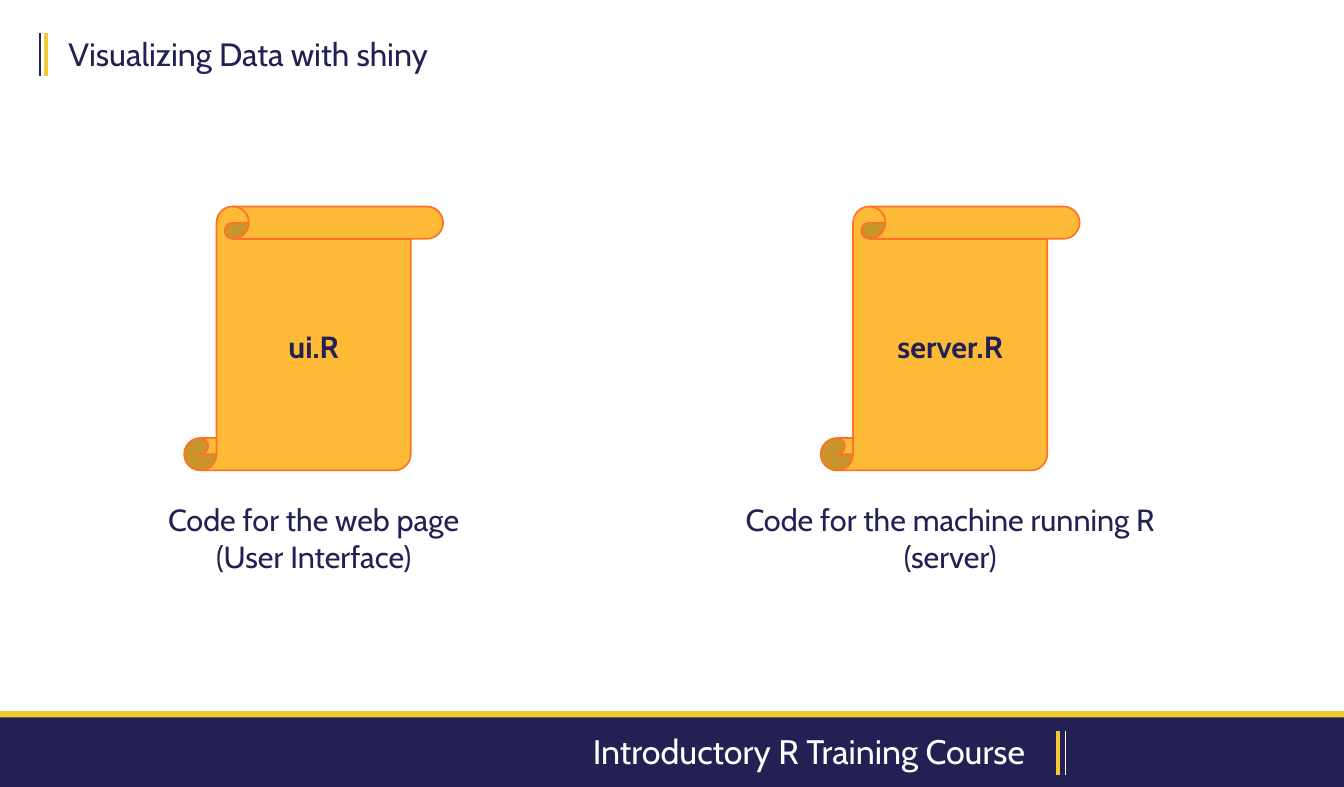
from dataclasses import dataclass
from typing import Any

from lxml import etree
from pptx import Presentation
from pptx.dml.color import RGBColor
from pptx.enum.shapes import MSO_CONNECTOR, MSO_SHAPE
from pptx.enum.text import MSO_ANCHOR, MSO_AUTO_SIZE, PP_ALIGN
from pptx.oxml.ns import qn
from pptx.util import Inches, Pt

SLIDE_WIDTH, SLIDE_HEIGHT = Inches(11), Inches(6.44)
TITLE_ONLY = 5
STRAIGHT = MSO_CONNECTOR.STRAIGHT
RECTANGLE, SCROLL = MSO_SHAPE.RECTANGLE, MSO_SHAPE.VERTICAL_SCROLL
LEFT, CENTER, RIGHT = PP_ALIGN.LEFT, PP_ALIGN.CENTER, PP_ALIGN.RIGHT
TOP, MIDDLE = MSO_ANCHOR.TOP, MSO_ANCHOR.MIDDLE
NO_AUTOFIT = MSO_AUTO_SIZE.NONE


def color(hex_string):
    return RGBColor.from_string(hex_string)


def across(share):
    """Percent of the slide's width."""
    return round(SLIDE_WIDTH * share / 100)


def down(share):
    """Percent of the slide's height."""
    return round(SLIDE_HEIGHT * share / 100)


def box(left, top, width, height):
    return across(left), down(top), across(width), down(height)


@dataclass
class CourseSlide:
    slide: Any
    font: str = "Cabin"
    navy: str = "232153"
    yellow: str = "F3C935"
    white: str = "FFFFFF"
    scroll_fill: str = "FCBA37"
    scroll_line: str = "FF7127"

    def set_text(self, shape, text, size, text_color, align,
                 anchor=TOP, bold=False, wrap=True):
        frame = shape.text_frame
        frame.text = text
        frame.word_wrap = wrap
        frame.auto_size = NO_AUTOFIT
        frame.vertical_anchor = anchor
        for paragraph in frame.paragraphs:
            paragraph.alignment = align
            for run in paragraph.runs:
                run.font.name = self.font
                run.font.size = Pt(size)
                run.font.bold = bold
                run.font.color.rgb = color(text_color)

    def title(self, text, place):
        shape = self.slide.shapes.title
        shape.left, shape.top, shape.width, shape.height = place
        self.set_text(shape, text, 19, self.navy, LEFT, wrap=False)

    def text(self, text, place, size, text_color, align):
        shape = self.slide.shapes.add_textbox(*place)
        self.set_text(shape, text, size, text_color, align)

    def shape(self, kind, place, fill, line=None):
        shape = self.slide.shapes.add_shape(kind, *place)
        shape.shadow.inherit = False
        shape.fill.solid()
        shape.fill.fore_color.rgb = color(fill)
        if line:
            shape.line.color.rgb = color(line)
            shape.line.width = Pt(1)
        else:
            shape.line.fill.background()
        return shape

    def scroll(self, text, place):
        shape = self.shape(SCROLL, place, self.scroll_fill, self.scroll_line)
        self.set_text(shape, text, 18, self.navy, CENTER, MIDDLE, bold=True)

    def upright(self, x, top, bottom, line_color, width):
        line = self.slide.shapes.add_connector(
            STRAIGHT, across(x), down(top), across(x), down(bottom))
        line.line.color.rgb = color(line_color)
        line.line.width = Pt(width)
        etree.SubElement(line._element.spPr, qn("a:effectLst"))


def main():
    presentation = Presentation()
    presentation.slide_width = SLIDE_WIDTH
    presentation.slide_height = SLIDE_HEIGHT
    page = CourseSlide(
        presentation.slides.add_slide(presentation.slide_layouts[TITLE_ONLY]))

    # Footer band with course name
    page.shape(RECTANGLE, box(0, 90.37, 100, 8.39), page.yellow)
    page.shape(RECTANGLE, box(0, 91.15, 100, 8.85), page.navy)
    page.upright(78.73, 92.86, 98.45, page.yellow, 2.25)
    page.upright(79.27, 92.86, 98.45, page.white, 1)
    page.text("Introductory R Training Course",
              box(29.27, 92.08, 47.91, 6.99), 20, page.white, RIGHT)

    # Title with its double rule
    page.upright(3.45, 4.19, 9.63, page.yellow, 2.25)
    page.upright(3, 4.19, 9.63, page.navy, 1)
    page.title("Visualizing Data with shiny", box(4.18, 3.57, 29, 6.52))

    # One scroll and caption per script file
    files = [
        ("ui.R", "Code for the web page\n(User Interface)"),
        ("server.R", "Code for the machine running R\n(server)"),
    ]
    first_center, step = 23.34, 47.36
    scroll_width, caption_width = 19.27, 39.18
    for index, (name, caption) in enumerate(files):
        center = first_center + index * step
        page.scroll(name, box(center - scroll_width / 2, 26.24,
                              scroll_width, 33.54))
        page.text(caption, box(center - caption_width / 2, 62.89,
                               caption_width, 11.02), 18, page.navy, CENTER)

    presentation.save("out.pptx")


if __name__ == "__main__":
    main()
